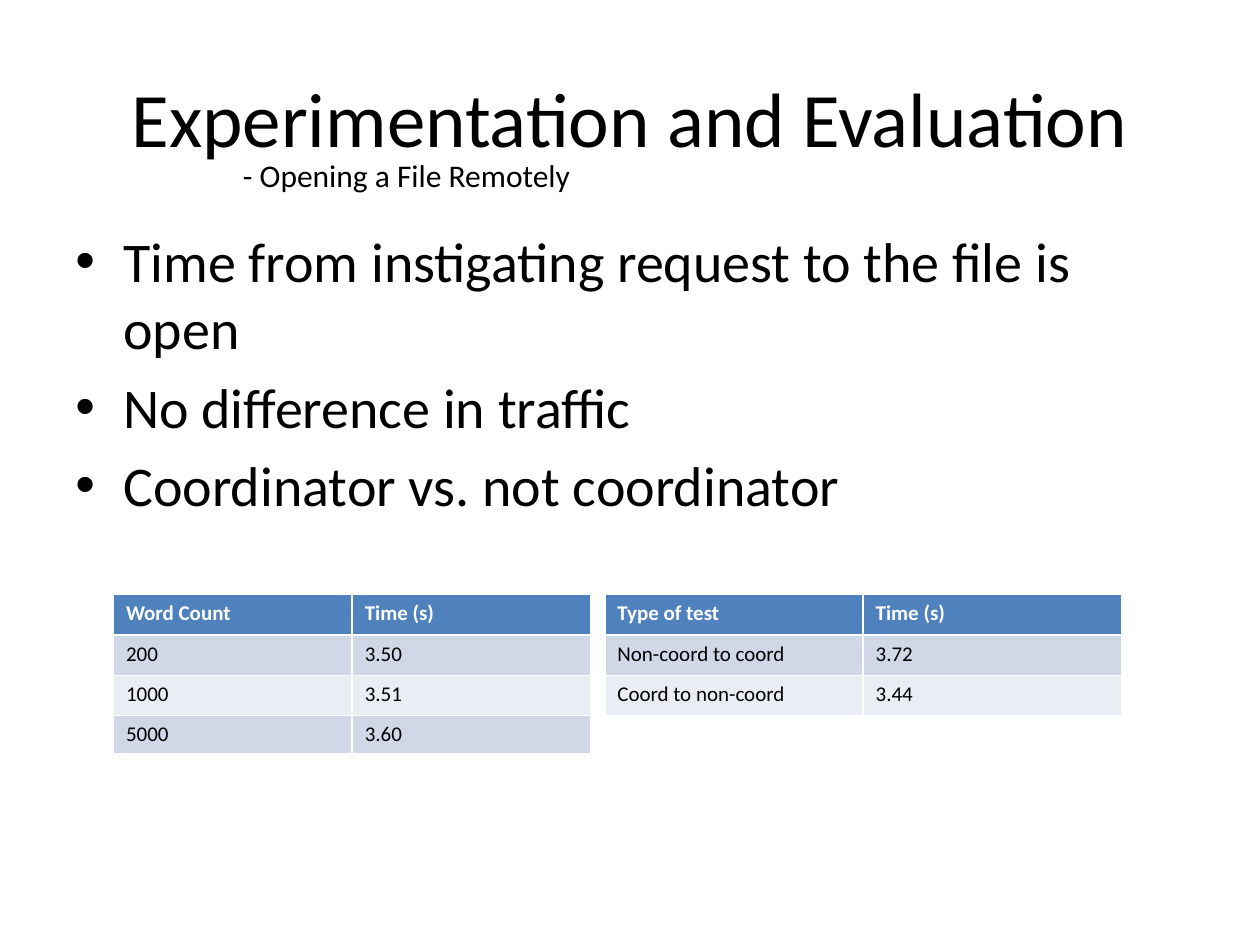
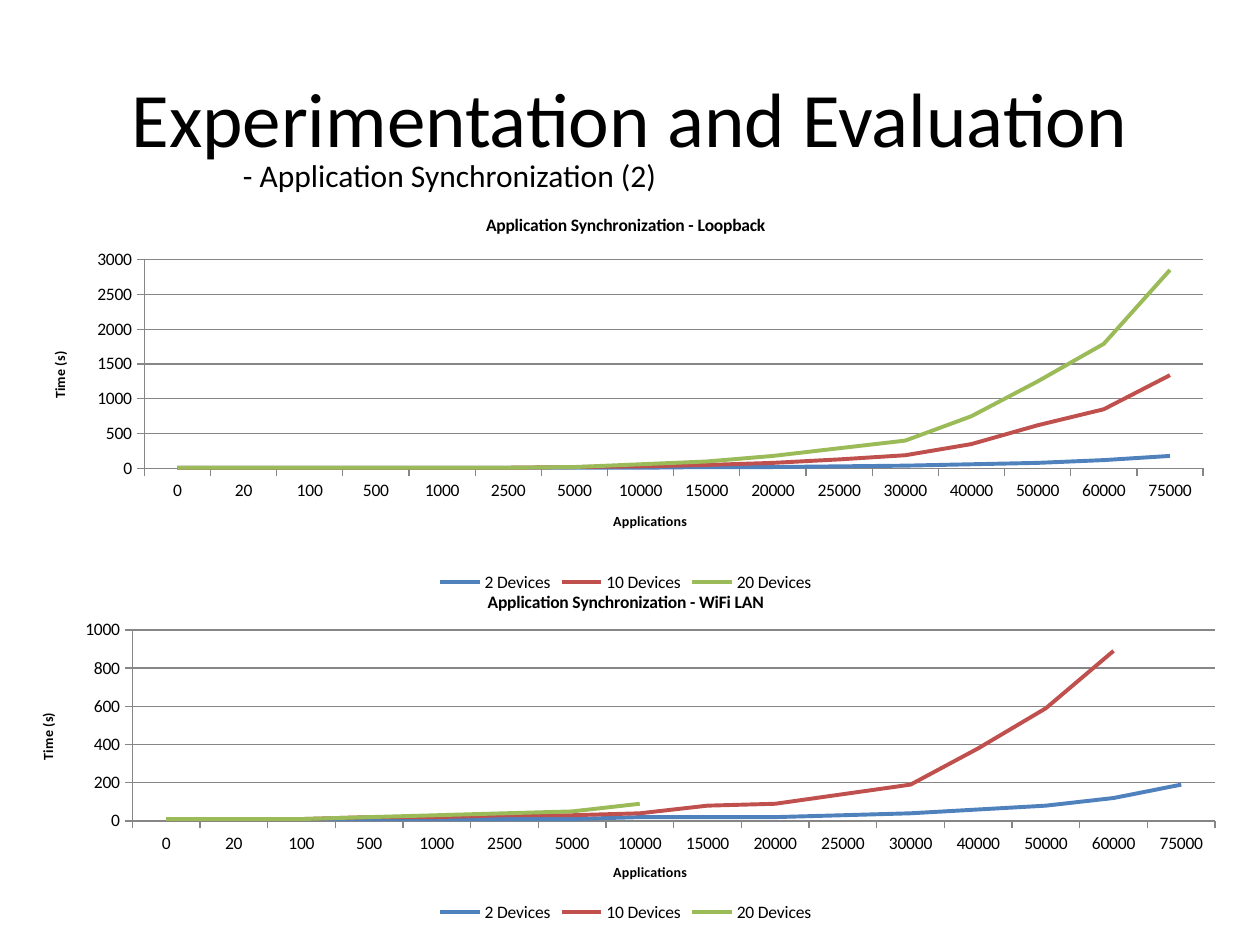
from lxml import etree
from pptx import Presentation
from pptx.chart.data import CategoryChartData
from pptx.dml.color import RGBColor
from pptx.enum.chart import XL_CHART_TYPE as ChartType, XL_LEGEND_POSITION as LegendPosition
from pptx.enum.chart import XL_TICK_MARK as TickMark
from pptx.enum.text import MSO_ANCHOR as Anchor, PP_ALIGN as Align
from pptx.oxml.ns import qn
from pptx.util import Inches, Pt

COLORS = {
    "text": "000000", "header_text": "FFFFFF", "header": "4F81BD",
    "band_dark": "D0D8E8", "band_light": "E9EDF4", "axis": "868686",
    "2 Devices": "4F81BD", "10 Devices": "C0504D", "20 Devices": "9BBB59",
}
FONT = "Calibri"


def add_span(para, text, size, color="text", bold=False):
    span = para.add_run()
    span.text = text
    span.font.name = FONT
    span.font.size = Pt(size)
    span.font.bold = bold
    span.font.color.rgb = RGBColor.from_string(COLORS[color])


def add_box(page, left, top, width, height):
    box = page.shapes.add_textbox(Inches(left), Inches(top), Inches(width), Inches(height))
    box.text_frame.word_wrap = True
    return box.text_frame


deck = Presentation()
deck.slide_width, deck.slide_height = Inches(10), Inches(7.5)

pages = []
for subtitle in ["- Opening a File Remotely", "- Application Synchronization (2)"]:
    page = deck.slides.add_slide(deck.slide_layouts[6])
    title = add_box(page, 0.5, 0.3, 9, 1.25)
    title.vertical_anchor = Anchor.MIDDLE
    title.paragraphs[0].alignment = Align.CENTER
    add_span(title.paragraphs[0], "Experimentation and Evaluation", 44)
    add_span(add_box(page, 1.83, 1.19, 6.34, 0.4).paragraphs[0], subtitle, 18)
    pages.append(page)
file_page, sync_page = pages

body = add_box(file_page, 0.5, 1.75, 9, 4.95)
findings = [
    "Time from instigating request to the file is open",
    "No difference in traffic",
    "Coordinator vs. not coordinator",
]
for index, finding in enumerate(findings):
    para = body.paragraphs[0] if index == 0 else body.add_paragraph()
    para.space_before = Pt(6.4)
    add_span(para, finding, 32)
    settings = para._p.get_or_add_pPr()
    settings.set("marL", str(Inches(0.38)))
    settings.set("indent", str(-Inches(0.38)))
    etree.SubElement(settings, qn("a:buFont")).set("typeface", "Arial")
    etree.SubElement(settings, qn("a:buChar")).set("char", "•")

timing_tables = [
    (0.9, 3.79, [0.32, 0.32, 0.32, 0.25],
     [("Word Count", "Time (s)"), ("200", "3.50"), ("1000", "3.51"), ("5000", "3.60")]),
    (4.8, 4.1, [0.32, 0.32, 0.32],
     [("Type of test", "Time (s)"), ("Non-coord to coord", "3.72"), ("Coord to non-coord", "3.44")]),
]
for left, width, heights, rows in timing_tables:
    frame = file_page.shapes.add_table(
        len(rows), 2, Inches(left), Inches(4.72), Inches(width), Inches(sum(heights)))
    table = frame.table
    for row_index, row in enumerate(rows):
        table.rows[row_index].height = Inches(heights[row_index])
        is_header = row_index == 0
        fill = "header" if is_header else "band_dark" if row_index % 2 else "band_light"
        for column_index, text in enumerate(row):
            cell = table.cell(row_index, column_index)
            cell.fill.solid()
            cell.fill.fore_color.rgb = RGBColor.from_string(COLORS[fill])
            add_span(cell.text_frame.paragraphs[0], text, 12,
                     "header_text" if is_header else "text", is_header)

application_counts = [0, 20, 100, 500, 1000, 2500, 5000, 10000, 15000, 20000,
                      25000, 30000, 40000, 50000, 60000, 75000]
sync_charts = [
    ("Application Synchronization - Loopback", 1.55, 3.19, 3000, 500, (0.1, 0.16, 0.88, 0.52), {
        "2 Devices": [10, 10, 10, 10, 10, 10, 10, 10, 20, 20, 30, 40, 60, 80, 120, 180],
        "10 Devices": [10, 10, 10, 10, 10, 10, 20, 30, 50, 80, 130, 190, 350, 620, 850, 1340],
        "20 Devices": [10, 10, 10, 10, 10, 10, 20, 60, 100, 180, 290, 400, 750, 1250, 1790, 2850],
    }),
    ("Application Synchronization - WiFi LAN", 4.55, 2.81, 1000, 200, (0.09, 0.16, 0.9, 0.54), {
        "2 Devices": [10, 10, 10, 10, 10, 10, 10, 20, 20, 20, 30, 40, 60, 80, 120, 190],
        "10 Devices": [10, 10, 10, 20, 20, 30, 30, 40, 80, 90, 140, 190, 380, 590, 890, None],
        "20 Devices": [10, 10, 10, 20, 30, 40, 50, 90] + [None] * 8,
    }),
]
for heading, top, height, maximum, step, plot_area, series_values in sync_charts:
    data = CategoryChartData()
    data.categories = [str(count) for count in application_counts]
    for name, values in series_values.items():
        data.add_series(name, values)
    chart = sync_page.shapes.add_chart(
        ChartType.LINE, Inches(0.19), Inches(top), Inches(9.55), Inches(height), data).chart
    chart.font.name = FONT
    chart.font.size = Pt(10)
    chart.font.color.rgb = RGBColor.from_string(COLORS["text"])
    chart.has_title = True
    add_span(chart.chart_title.text_frame.paragraphs[0], heading, 10, bold=True)
    chart.chart_title.include_in_layout = False
    chart.has_legend = True
    chart.legend.position = LegendPosition.BOTTOM
    chart.legend.include_in_layout = False

    for axis, label in [(chart.category_axis, "Applications"), (chart.value_axis, "Time (s)")]:
        axis.has_title = True
        add_span(axis.axis_title.text_frame.paragraphs[0], label, 8, bold=True)
        axis.major_tick_mark = TickMark.OUTSIDE
        axis.minor_tick_mark = TickMark.NONE
        axis.format.line.color.rgb = RGBColor.from_string(COLORS["axis"])
    chart.value_axis.minimum_scale = 0
    chart.value_axis.maximum_scale = maximum
    chart.value_axis.major_unit = step
    chart.value_axis.has_major_gridlines = True
    chart.value_axis.major_gridlines.format.line.color.rgb = RGBColor.from_string(COLORS["axis"])

    chart.plots[0].vary_by_categories = False
    for series in chart.plots[0].series:
        series.smooth = False
        series.format.line.width = Pt(2.25)
        series.format.line.color.rgb = RGBColor.from_string(COLORS[series.name])

    plot = chart.element.find(".//" + qn("c:plotArea"))
    for automatic in plot.findall(qn("c:layout")):
        plot.remove(automatic)
    layout = etree.Element(qn("c:layout"))
    plot.insert(0, layout)
    manual = etree.SubElement(layout, qn("c:manualLayout"))
    placement = [("layoutTarget", "inner"), ("xMode", "edge"), ("yMode", "edge")]
    placement += zip("xywh", plot_area)
    for tag, value in placement:
        etree.SubElement(manual, qn("c:" + tag)).set("val", str(value))

deck.save("out.pptx")
